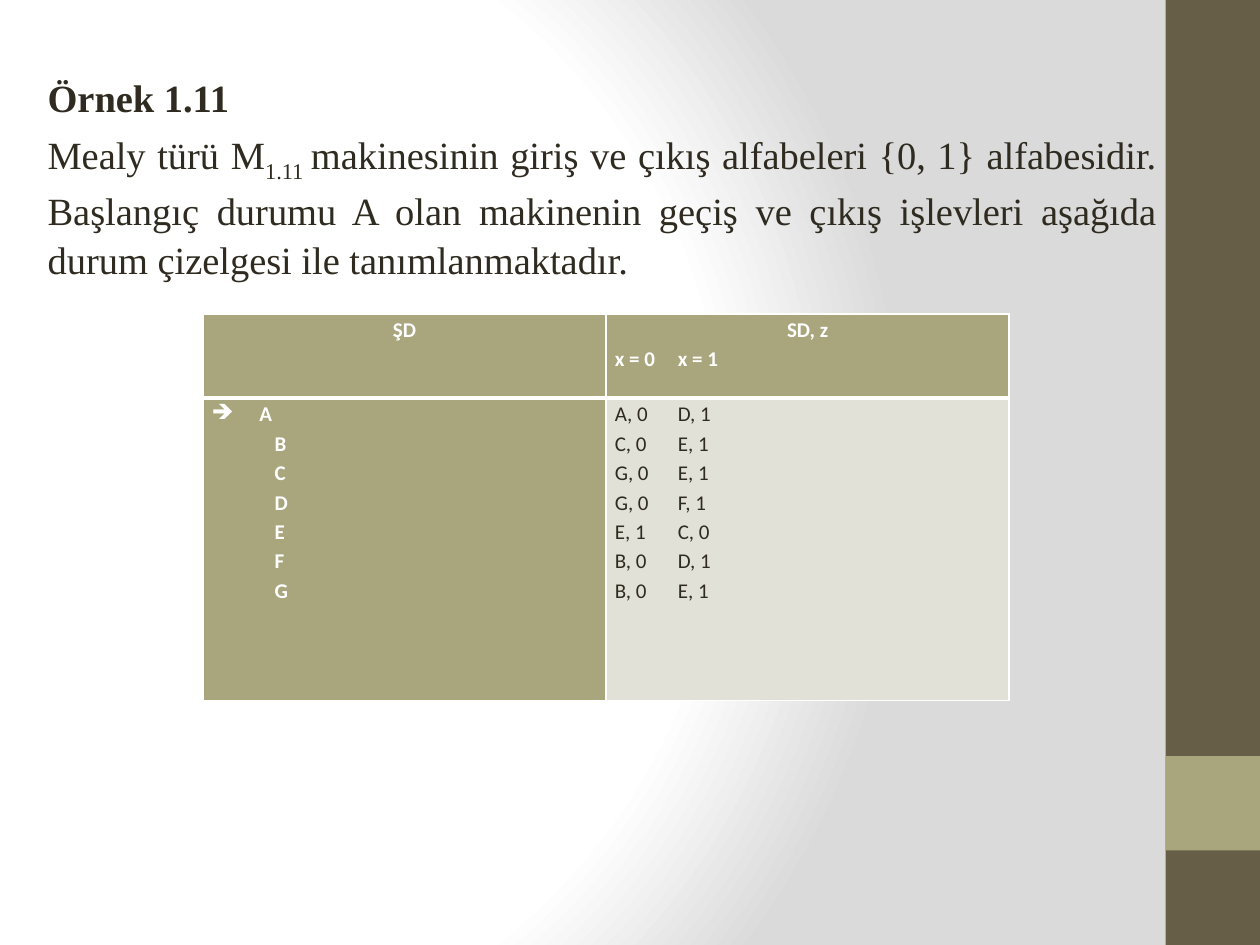
from dataclasses import dataclass
from typing import Optional

from lxml import etree
from pptx import Presentation
from pptx import util as u
from pptx.dml.color import RGBColor
from pptx.enum import shapes, text
from pptx.oxml import parse_xml
from pptx.oxml.ns import qn

W, H = 10, 7.5
BROWN = RGBColor(0x67, 0x5E, 0x47)
OLIVE = RGBColor(0xA9, 0xA5, 0x7C)
PALE = RGBColor(0xE2, 0xE1, 0xD7)
INK = RGBColor(0x2F, 0x2B, 0x20)
WHITE = RGBColor(0xFF, 0xFF, 0xFF)
GREY = RGBColor(0xDA, 0xDA, 0xDA)
LEFT, CENTER, JUSTIFY = text.PP_ALIGN.LEFT, text.PP_ALIGN.CENTER, text.PP_ALIGN.JUSTIFY
NS = ('xmlns:a="http://schemas.openxmlformats.org/drawingml/2006/main" '
      'xmlns:p="http://schemas.openxmlformats.org/presentationml/2006/main"')

STATES = "ABCDEFG"
OUT_0 = ["A, 0", "C, 0", "G, 0", "G, 0", "E, 1", "B, 0", "B, 0"]
OUT_1 = ["D, 1", "E, 1", "E, 1", "F, 1", "C, 0", "D, 1", "E, 1"]


@dataclass
class Band:
    """A side panel; top and height are shares of the slide height."""
    top: float
    height: float
    color: RGBColor


@dataclass
class Line:
    text: str
    align: text.PP_ALIGN = JUSTIFY
    indent: float = 0
    bullet: Optional[str] = None
    tab: Optional[float] = None


BANDS = [Band(0, 1, BROWN), Band(0.8, 0.1, OLIVE)]


def add_run(p, words: str, *, size: float, font: str, color: RGBColor,
            bold: bool = False, baseline: int = 0) -> None:
    r = p.add_run()
    r.text = words
    r.font.size, r.font.name, r.font.bold = u.Pt(size), font, bold
    r.font.color.rgb = color
    if baseline:
        r.font._element.set("baseline", str(baseline * 1000))


def set_background(s) -> None:
    stops = "".join(f'<a:gs pos="{pos}000"><a:srgbClr val="{color}"/></a:gs>'
                    for pos, color in ((0, WHITE), (75, WHITE), (100, GREY)))
    s._element.cSld.insert(0, parse_xml(
        f'<p:bg {NS}><p:bgPr><a:gradFill rotWithShape="1"><a:gsLst>{stops}</a:gsLst>'
        '<a:path path="circle"><a:fillToRect l="20000" t="50000" r="100000" b="50000"/>'
        '</a:path></a:gradFill><a:effectLst/></p:bgPr></p:bg>'))


def add_band(s, band: Band) -> None:
    sp = s.shapes.add_shape(shapes.MSO_SHAPE.RECTANGLE, u.Inches(9.25), u.Inches(band.top * H),
                            u.Inches(0.75), u.Inches(band.height * H))
    sp.shadow.inherit = False
    sp.fill.solid()
    sp.fill.fore_color.rgb = band.color
    sp.line.fill.background()


def add_body(s) -> None:
    tf = s.shapes.add_textbox(u.Inches(0.28), u.Inches(0.52), u.Inches(9), u.Inches(6.26)).text_frame
    tf.word_wrap = True
    style = dict(size=22, font="Times New Roman", color=INK)
    title, p = tf.paragraphs[0], tf.add_paragraph()
    for paragraph in (title, p):
        paragraph.alignment, paragraph.line_spacing = JUSTIFY, 1.06
    p.space_before = u.Pt(4.4)
    add_run(title, "Örnek 1.11", bold=True, **style)
    add_run(p, "Mealy türü M", **style)
    add_run(p, "1.11 ", baseline=-25, **style)
    add_run(p, "makinesinin giriş ve çıkış alfabeleri {0, 1} alfabesidir. Başlangıç durumu A olan "
               "makinenin geçiş ve çıkış işlevleri aşağıda durum çizelgesi ile tanımlanmaktadır.", **style)


def set_paragraph_layout(p, line: Line) -> None:
    p.alignment, p.line_spacing = line.align, 1.15
    pPr = p._p.get_or_add_pPr()
    pPr.set("marL", str(u.Inches(line.indent)))
    pPr.set("indent", str(-u.Inches(line.indent) if line.bullet else 0))
    if line.bullet:
        etree.SubElement(pPr, qn("a:buChar")).set("char", line.bullet)
    if line.tab:
        tab = etree.SubElement(etree.SubElement(pPr, qn("a:tabLst")), qn("a:tab"))
        tab.set("pos", str(u.Inches(line.tab)))
        tab.set("algn", "l")


def fill_cell(cell, lines: list[Line], *, fill: RGBColor, color: RGBColor, bold: bool,
              top: float, bottom: float) -> None:
    """Write a cell; top and bottom are border widths in points."""
    tcPr = cell._tc.get_or_add_tcPr()
    for i, (side, width) in enumerate(zip("LRTB", (1, 1, top, bottom))):
        tcPr.insert(i, parse_xml(f'<a:ln{side} {NS} w="{u.Pt(width)}"><a:solidFill>'
                                 f'<a:srgbClr val="{WHITE}"/></a:solidFill></a:ln{side}>'))
    cell.fill.solid()
    cell.fill.fore_color.rgb = fill
    cell.margin_left = cell.margin_right = u.Inches(0.07)
    cell.margin_top = cell.margin_bottom = 0
    tf = cell.text_frame
    for i, line in enumerate(lines):
        p = tf.add_paragraph() if i else tf.paragraphs[0]
        set_paragraph_layout(p, line)
        add_run(p, line.text, size=12, font="Calibri", color=color, bold=bold)


def add_state_table(s) -> None:
    table = s.shapes.add_table(2, 2, u.Inches(1.61), u.Inches(2.49),
                               u.Inches(6.4), u.Inches(3.07)).table
    table.horz_banding = False
    table.first_col = True
    for row, height in zip(table.rows, (0.67, 2.4)):
        row.height = u.Inches(height)
    states = [Line(name, indent=0.5) for name in STATES]
    states[0] = Line(STATES[0], indent=0.38, bullet="➔")
    outputs = [Line(f"{a}\t{b}", align=LEFT, tab=1.76) for a, b in zip(OUT_0, OUT_1)]
    head = dict(fill=OLIVE, color=WHITE, bold=True, top=1, bottom=3)
    body = dict(top=3, bottom=1)
    fill_cell(table.cell(0, 0), [Line("ŞD", CENTER)], **head)
    fill_cell(table.cell(0, 1), [Line("SD, z", CENTER), Line("x = 0\tx = 1", LEFT, tab=1.94)], **head)
    fill_cell(table.cell(1, 0), states, fill=OLIVE, color=WHITE, bold=True, **body)
    fill_cell(table.cell(1, 1), outputs, fill=PALE, color=INK, bold=False, **body)


def main() -> None:
    prs = Presentation()
    prs.slide_width, prs.slide_height = u.Inches(W), u.Inches(H)
    s = prs.slides.add_slide(prs.slide_layouts[6])
    set_background(s)
    for band in BANDS:
        add_band(s, band)
    add_body(s)
    add_state_table(s)
    prs.save("out.pptx")


if __name__ == "__main__":
    main()
